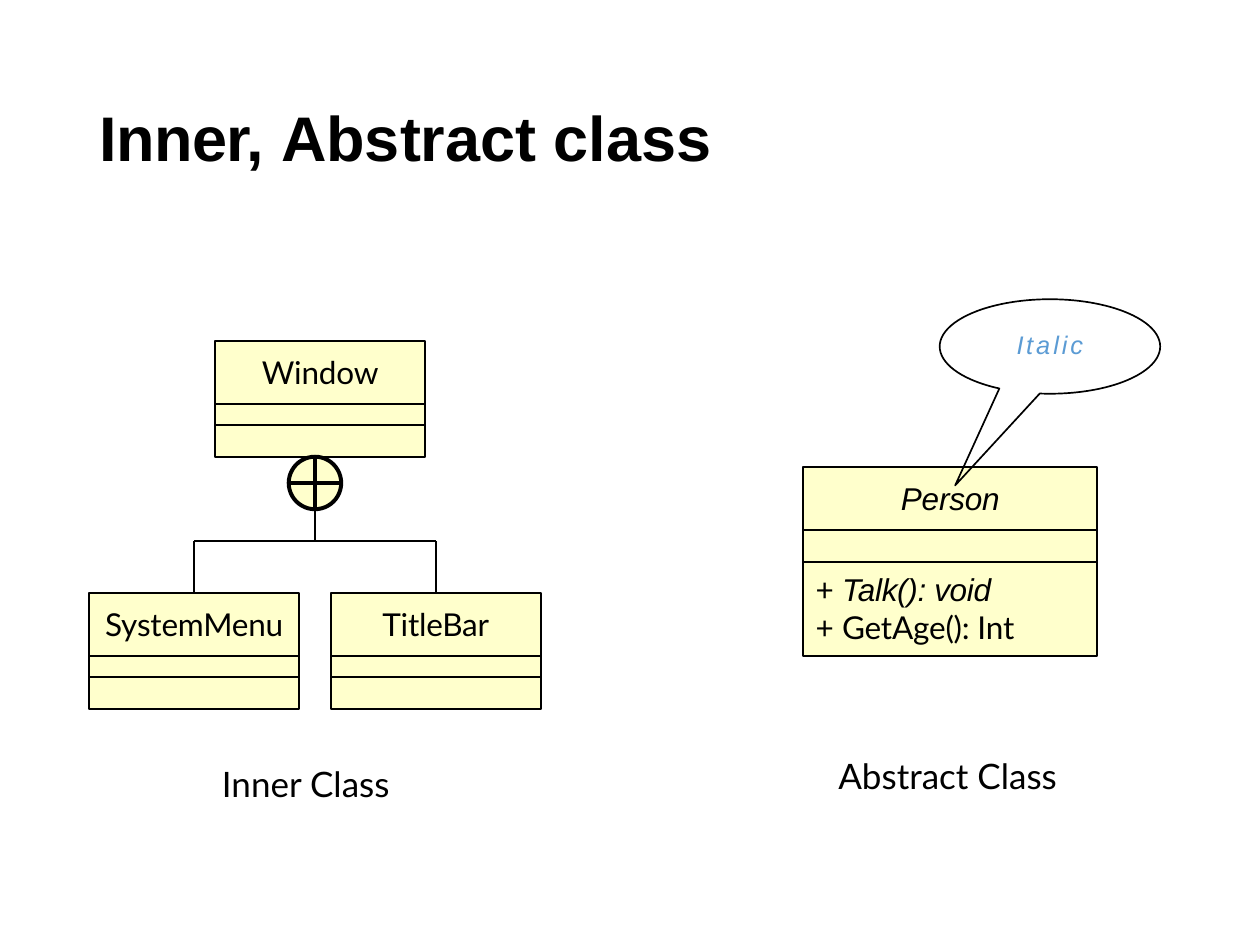
from pptx import Presentation
from pptx.dml.color import RGBColor
from pptx.enum.shapes import MSO_SHAPE
from pptx.enum.text import MSO_ANCHOR as Anchor, PP_ALIGN as Align
from pptx.util import Inches, Pt

CELL = Inches(1) / 24
BLACK, CREAM, BLUE = "000000", "FFFFCC", "5B9BD4"
THIN, THICK = 0.96, 2.28


def grid(*cells):
    """Turn grid cells (24 to the inch) into lengths."""
    return [round(cell * CELL) for cell in cells]


def paint(color_format, color):
    color_format.rgb = RGBColor.from_string(color)


def style_frame(frame, left=0, bottom=0.02, wrap=True):
    frame.word_wrap = wrap
    frame.vertical_anchor = Anchor.MIDDLE
    frame.margin_left, frame.margin_bottom = Inches(left), Inches(bottom)
    frame.margin_right = frame.margin_top = 0


def style_paragraph(paragraph, size, font="Lato", color=BLACK,
                    align=Align.CENTER, italic=False, bold=False):
    paragraph.alignment = align
    paragraph.font.size = Pt(size)
    paragraph.font.name = font
    paragraph.font.italic = italic
    paragraph.font.bold = bold
    paint(paragraph.font.color, color)


def write(paragraph, text, spacing=0):
    """Add a run, with letter spacing in points."""
    run = paragraph.add_run()
    run.text = text
    if spacing:
        run._r.get_or_add_rPr().set("spc", str(round(spacing * 100)))
    return run


def style_outline(shape, fill=CREAM, width=THIN):
    shape.shadow.inherit = False
    if fill:
        shape.fill.solid()
        paint(shape.fill.fore_color, fill)
    else:
        shape.fill.background()
    paint(shape.line.color, BLACK)
    shape.line.width = Pt(width)


def add_outline(slide, kind, box, fill=CREAM, width=THIN):
    shape = slide.shapes.add_shape(kind, *grid(*box))
    style_outline(shape, fill, width)
    style_frame(shape.text_frame)
    return shape


def add_class(slide, name, left, top, width, heights, font="Lato", italic=False):
    """Stack the name, attribute and method compartments; return the last."""
    compartments = []
    for height in heights:
        box = (left, top, width, height)
        compartments.append(add_outline(slide, MSO_SHAPE.RECTANGLE, box))
        top += height
    paragraph = compartments[0].text_frame.paragraphs[0]
    style_paragraph(paragraph, 18, font, italic=italic)
    write(paragraph, name, -0.1)
    return compartments[-1]


def add_methods(compartment, methods):
    """Write (signature, is_abstract) lines into a compartment."""
    frame = compartment.text_frame
    style_frame(frame, left=0.1)
    for index, (signature, is_abstract) in enumerate(methods):
        paragraph = frame.add_paragraph() if index else frame.paragraphs[0]
        style_paragraph(paragraph, 18, align=Align.LEFT)
        write(paragraph, "+ ")
        run = write(paragraph, signature, -0.2 if is_abstract else -0.1)
        if is_abstract:
            run.font.name = "Arial"
            run.font.italic = True


def add_branches(slide, segments):
    """Draw (x1, y1, x2, y2) segments as one open outline."""
    x, y = segments[0][:2]
    builder = slide.shapes.build_freeform(x, y, scale=CELL)
    for x1, y1, x2, y2 in segments:
        if (x1, y1) != (x, y):
            builder.move_to(x1, y1)
        builder.add_line_segments([(x2, y2)], close=False)
    style_outline(builder.convert_to_shape(), fill=None)


def add_label(slide, box, size, pieces, **style):
    """Add a text box of (text, spacing) pieces on one line."""
    frame = slide.shapes.add_textbox(*grid(*box)).text_frame
    style_frame(frame, wrap=False)
    style_paragraph(frame.paragraphs[0], size, **style)
    for piece in pieces:
        write(frame.paragraphs[0], *piece)


def add_title(slide, pieces):
    title = slide.shapes.title
    title.left, title.top, title.width, title.height = grid(18.5, 18.5, 117.5, 15)
    style_frame(title.text_frame, left=0.02, bottom=0)
    paragraph = title.text_frame.paragraphs[0]
    style_paragraph(paragraph, 36, "Arial", align=Align.LEFT, bold=True)
    for piece in pieces:
        write(paragraph, *piece)


def add_inner_classes(slide):
    width, heights = 40, (12, 4, 6)
    add_class(slide, "Window", 41, 65, width, heights)
    bus, child_top = 103, 113
    centers = []
    for name, left in (("SystemMenu", 17), ("TitleBar", 63)):
        add_class(slide, name, left, child_top, width, heights)
        centers.append(left + width / 2)
    drops = [(center, child_top, center, bus) for center in centers]
    add_outline(slide, MSO_SHAPE.FLOWCHART_OR, (55, 87, 10, 10), width=THICK)
    add_branches(slide, [(centers[0], bus, centers[1], bus), *drops,
                         (59.75, 97, 59.75, bus)])
    add_label(slide, (41, 145, 34.5, 9), 20, [("Inner Class",)])


def add_abstract_class(slide):
    methods = add_class(slide, "Person", 153, 89, 56, (12, 6, 18), "Arial", True)
    add_methods(methods, [("Talk(): void", True), ("GetAge(): Int", False)])
    callout = add_outline(slide, MSO_SHAPE.OVAL_CALLOUT, (179, 57, 42, 18), fill=None)
    callout.adjustments[0], callout.adjustments[1] = -0.43, 1.47
    add_label(slide, (193, 62.5, 14, 6.75), 14.5, [("I", 1.4), ("talic", 1.7)],
              font="Arial", color=BLUE, italic=True)
    add_label(slide, (158.5, 143.5, 44, 9), 20, [("Abstract Class",)])


def main():
    presentation = Presentation()
    presentation.slide_width, presentation.slide_height = Inches(10), Inches(7.5)
    slide = presentation.slides.add_slide(presentation.slide_layouts[5])
    add_title(slide, [("Inner, ", -0.4), ("Abstract class",)])
    add_inner_classes(slide)
    add_abstract_class(slide)
    presentation.save("out.pptx")


if __name__ == "__main__":
    main()
